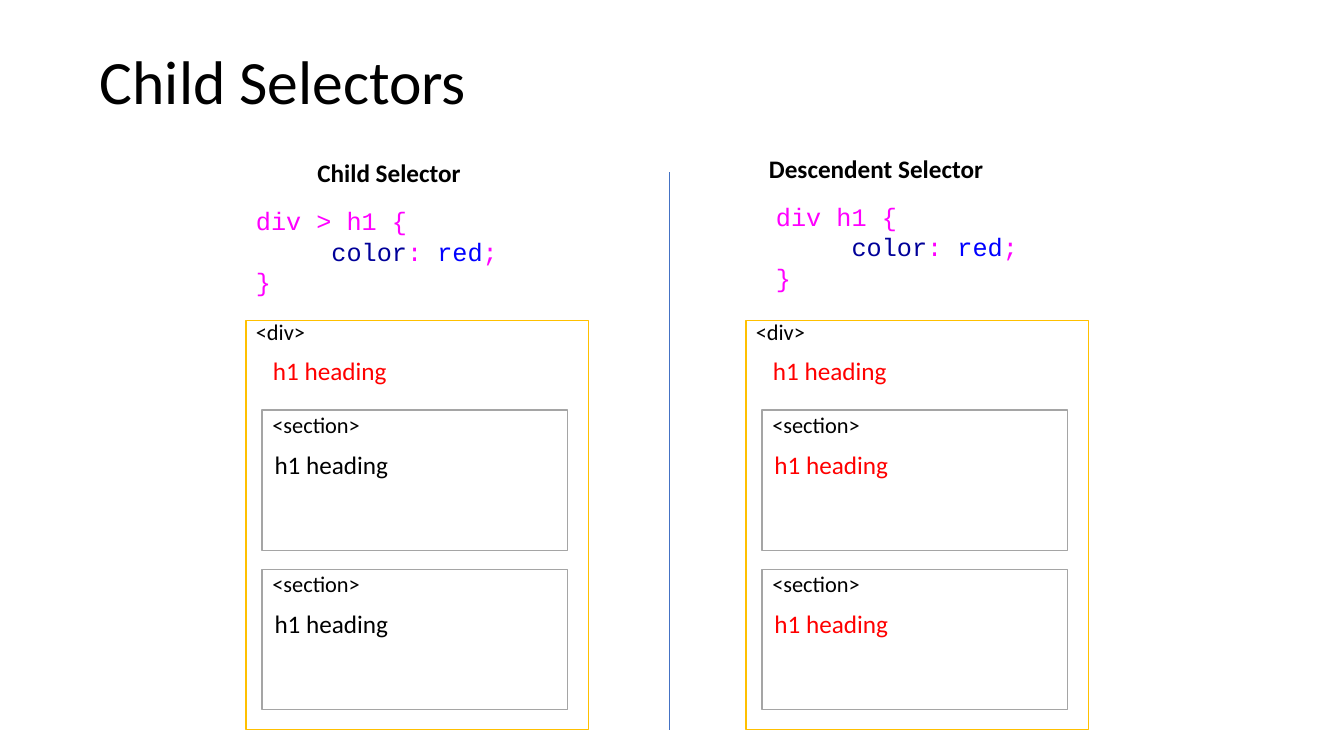
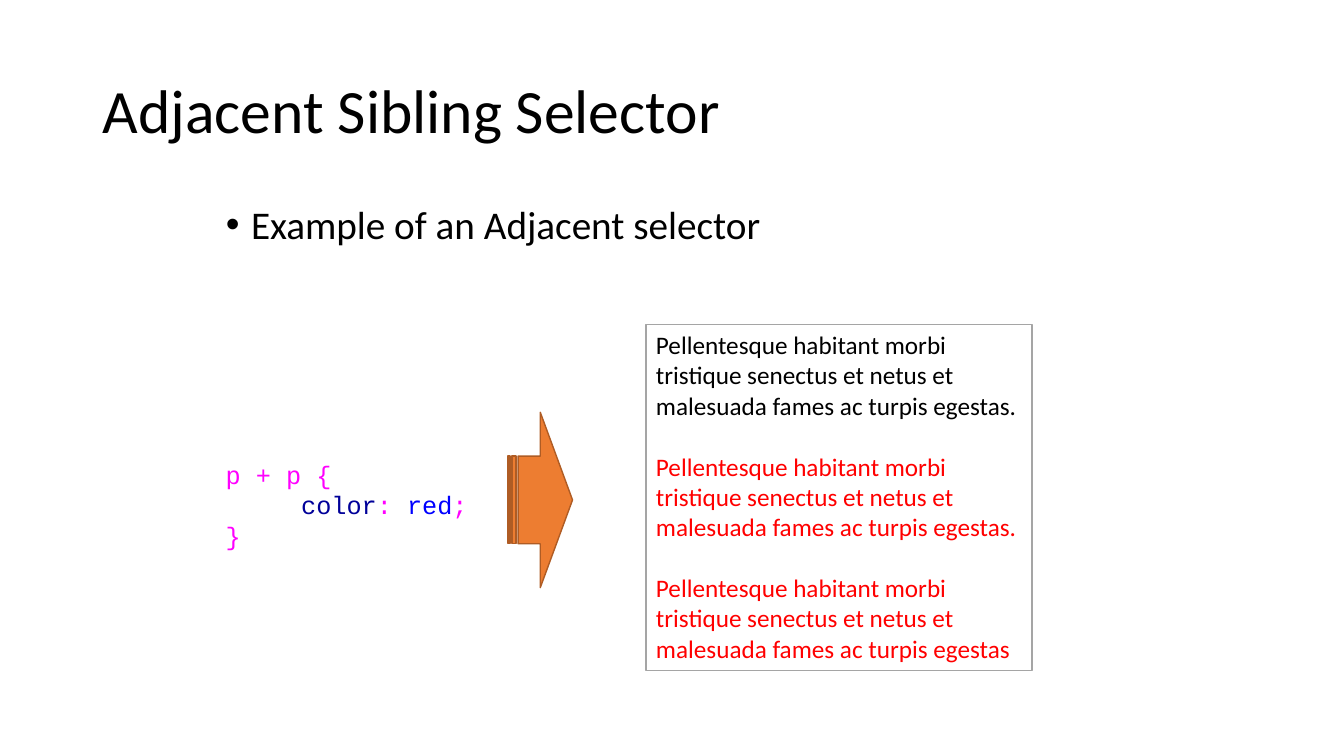
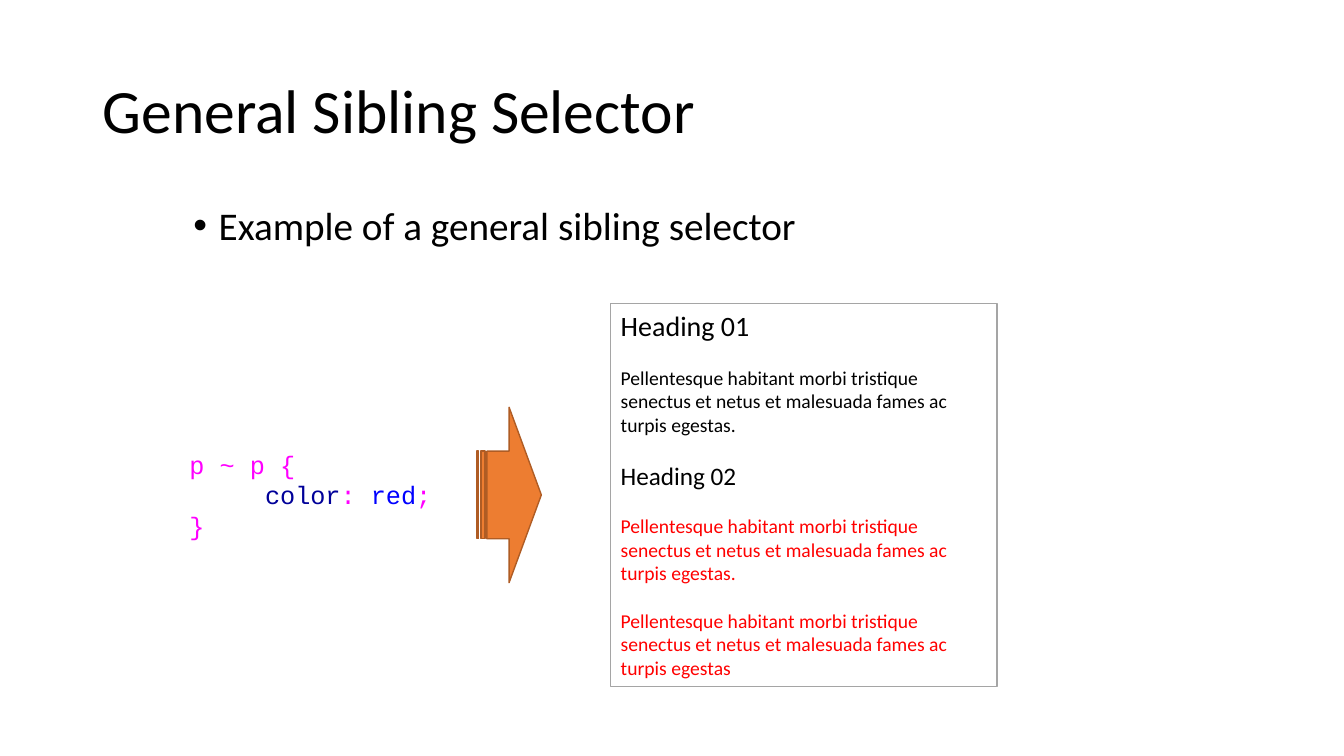
from dataclasses import dataclass
from typing import NamedTuple

import pptx
import pptx.dml.color
import pptx.enum.shapes
import pptx.enum.text
import pptx.oxml
import pptx.oxml.ns
import pptx.util

Pt = pptx.util.Pt
ShapeKind = pptx.enum.shapes.MSO_SHAPE


@dataclass(frozen=True)
class Theme:
    font: str = "Calibri"
    code_font: str = "Courier New"
    black: str = "000000"
    white: str = "FFFFFF"
    red: str = "FF0000"
    code: str = "FF00FF"
    code_property: str = "000099"
    code_value: str = "0000FF"
    div_line: str = "FFC000"
    grey_line: str = "A5A5A5"
    divider: str = "4472C4"
    arrow: str = "ED7D31"
    arrow_line: str = "AF5C24"
    title_size: float = 44
    list_size: float = 28
    large_size: float = 20
    text_size: float = 18
    tag_size: float = 16
    small_size: float = 14


THEME = Theme()


class Box(NamedTuple):
    left: float
    top: float
    width: float
    height: float


class Span(NamedTuple):
    text: str
    size: float = THEME.text_size
    color: str = THEME.black
    font: str = THEME.font
    bold: bool = False


class Para(NamedTuple):
    spans: list[Span]
    before: float = 0
    indent: float = 0


@dataclass(frozen=True)
class SelectorColumn:
    left: float
    heading: str
    heading_box: Box
    rule: str
    code_box: Box
    nested_color: str


@dataclass(frozen=True)
class Example:
    title: str
    bullet: str
    bullet_box: Box
    rule: str
    code_box: Box
    arrow_box: Box
    result_box: Box
    result: list[Para]


def rgb(color: str):
    return pptx.dml.color.RGBColor.from_string(color)


def place(shape, box: Box) -> None:
    shape.left, shape.top, shape.width, shape.height = map(Pt, box)


def write(frame, paras: list[Para]) -> None:
    """Fill a text frame with left-aligned paragraphs, run by run."""
    frame.word_wrap = True
    frame.auto_size = pptx.enum.text.MSO_AUTO_SIZE.NONE
    for index, para in enumerate(paras):
        target = frame.add_paragraph() if index else frame.paragraphs[0]
        target.alignment = pptx.enum.text.PP_ALIGN.LEFT
        target.space_before = Pt(para.before)
        if para.indent:
            target._p.get_or_add_pPr().set("marL", str(Pt(para.indent)))
        for span in para.spans:
            run = target.add_run()
            run.text = span.text
            run.font.name = span.font
            run.font.size = Pt(span.size)
            run.font.bold = span.bold
            run.font.color.rgb = rgb(span.color)


def add_text(slide, box: Box, paras: list[Para]) -> None:
    write(slide.shapes.add_textbox(*map(Pt, box)).text_frame, paras)


def add_label(slide, box: Box, span: Span) -> None:
    add_text(slide, box, [Para([span])])


def add_code(slide, box: Box, selector: str) -> None:
    def code(text: str, color: str = THEME.code) -> Span:
        return Span(text, color=color, font=THEME.code_font)

    declaration = [
        code("color", THEME.code_property),
        code(": "),
        code("red", THEME.code_value),
        code(";"),
    ]
    add_text(slide, box, [
        Para([code(selector + " {")]),
        Para(declaration, indent=54),
        Para([code("}")]),
    ])


def add_panel(slide, kind, box: Box, line: str, fill: str = THEME.white):
    shape = slide.shapes.add_shape(kind, *map(Pt, box))
    shape.shadow.inherit = False
    shape.fill.solid()
    shape.fill.fore_color.rgb = rgb(fill)
    shape.line.color.rgb = rgb(line)
    shape.line.width = Pt(1)
    return shape


def add_divider(slide, x: float, top: float, bottom: float) -> None:
    line = slide.shapes.add_connector(
        pptx.enum.shapes.MSO_CONNECTOR.STRAIGHT, Pt(x), Pt(top), Pt(x), Pt(bottom))
    line.line.color.rgb = rgb(THEME.divider)
    line.line.width = Pt(0.5)
    properties = line._element.find(pptx.oxml.ns.qn("p:spPr"))
    properties.append(pptx.oxml.parse_xml(
        f"<a:effectLst {pptx.oxml.ns.nsdecls('a')}/>"))


def add_slide(deck, layout: int, title: str, left: float, top: float):
    slide = deck.slides.add_slide(deck.slide_layouts[layout])
    heading = slide.shapes.title
    place(heading, Box(left, top, 828, 104.4))
    frame = heading.text_frame
    write(frame, [Para([Span(title, THEME.title_size)])])
    frame.vertical_anchor = pptx.enum.text.MSO_ANCHOR.MIDDLE
    frame.paragraphs[0].line_spacing = 0.9
    return slide


def add_selector_column(slide, column: SelectorColumn) -> None:
    """Draw a heading, its CSS rule and the nested boxes it styles."""
    left = column.left
    add_label(slide, column.heading_box, Span(column.heading, bold=True))
    add_code(slide, column.code_box, column.rule)
    add_panel(slide, ShapeKind.RECTANGLE, Box(left, 229, 244.8, 292.3), THEME.div_line)
    add_label(slide, Box(left, 223.9, 60.5, 26.6), Span("<div>", THEME.tag_size))
    add_label(slide, Box(left + 12.2, 250.6, 130.3, 28.8),
              Span("h1 heading", color=THEME.red))
    section_left = left + 11.5
    for section_top in (293, 406.8):
        add_panel(slide, ShapeKind.RECTANGLE,
                  Box(section_left, section_top, 218.2, 100.1), THEME.grey_line)
        add_label(slide, Box(section_left + 0.3, section_top - 3.2, 96.5, 26.6),
                  Span("<section>", THEME.tag_size))
        add_label(slide, Box(section_left + 1.8, section_top + 24.5, 130.3, 28.8),
                  Span("h1 heading", color=column.nested_color))


def add_example(deck, example: Example) -> None:
    slide = add_slide(deck, 1, example.title, 66.2, 28.8)
    body = slide.placeholders[1]
    place(body, example.bullet_box)
    write(body.text_frame, [
        Para([Span(example.bullet, THEME.list_size)], before=10, indent=18)])
    bullet = body.text_frame.paragraphs[0]
    bullet.line_spacing = 0.9
    bullet._p.get_or_add_pPr().set("indent", str(Pt(-18)))
    add_code(slide, example.code_box, example.rule)
    add_panel(slide, ShapeKind.STRIPED_RIGHT_ARROW, example.arrow_box,
              THEME.arrow_line, THEME.arrow)
    panel = add_panel(slide, ShapeKind.RECTANGLE, example.result_box, THEME.grey_line)
    write(panel.text_frame, example.result)
    panel.text_frame.vertical_anchor = pptx.enum.text.MSO_ANCHOR.TOP


LAST_SENTENCE = ("Pellentesque habitant morbi tristique senectus et netus et "
                 "malesuada fames ac turpis egestas")
SENTENCE = LAST_SENTENCE + "."

COLUMNS = [
    SelectorColumn(175.7, "Child Selector", Box(219.6, 108.7, 130.3, 28.8),
                   "div > h1", Box(175.7, 143.3, 217.4, 72.7), THEME.black),
    SelectorColumn(532.8, "Descendent Selector", Box(542.2, 105.8, 182.2, 28.8),
                   "div h1", Box(547.2, 140.4, 217.4, 72.7), THEME.red),
]

EXAMPLES = [
    Example(
        "Adjacent Sibling Selector", "Example of an Adjacent selector",
        Box(154.1, 143.3, 591.8, 39.6), "p + p", Box(154.1, 324.7, 195.8, 72.7),
        Box(362.9, 294.5, 46.1, 125.3), Box(461.5, 231.8, 275.8, 247),
        [
            Para([Span(SENTENCE)]),
            Para([Span(SENTENCE, color=THEME.red)], before=22),
            Para([Span(LAST_SENTENCE, color=THEME.red)], before=22),
        ]),
    Example(
        "General Sibling Selector", "Example of a general sibling selector",
        Box(131, 144, 591.8, 39.6), "p ~ p", Box(128.2, 317.5, 195.8, 72.7),
        Box(340.6, 290.9, 46.1, 125.3), Box(436.3, 216.7, 275.8, 273.6),
        [
            Para([Span("Heading 01", THEME.large_size)]),
            Para([Span(SENTENCE, THEME.small_size)], before=17),
            Para([Span("Heading 02")], before=17),
            Para([Span(SENTENCE, THEME.small_size, THEME.red)], before=17),
            Para([Span(LAST_SENTENCE, THEME.small_size, THEME.red)], before=17),
        ]),
]


def main() -> None:
    deck = pptx.Presentation()
    deck.slide_width, deck.slide_height = Pt(960), Pt(540)
    slide = add_slide(deck, 5, "Child Selectors", 64.1, 7.9)
    add_divider(slide, 478.1, 123.1, 521.3)
    for column in COLUMNS:
        add_selector_column(slide, column)
    for example in EXAMPLES:
        add_example(deck, example)
    deck.save("out.pptx")


if __name__ == "__main__":
    main()
